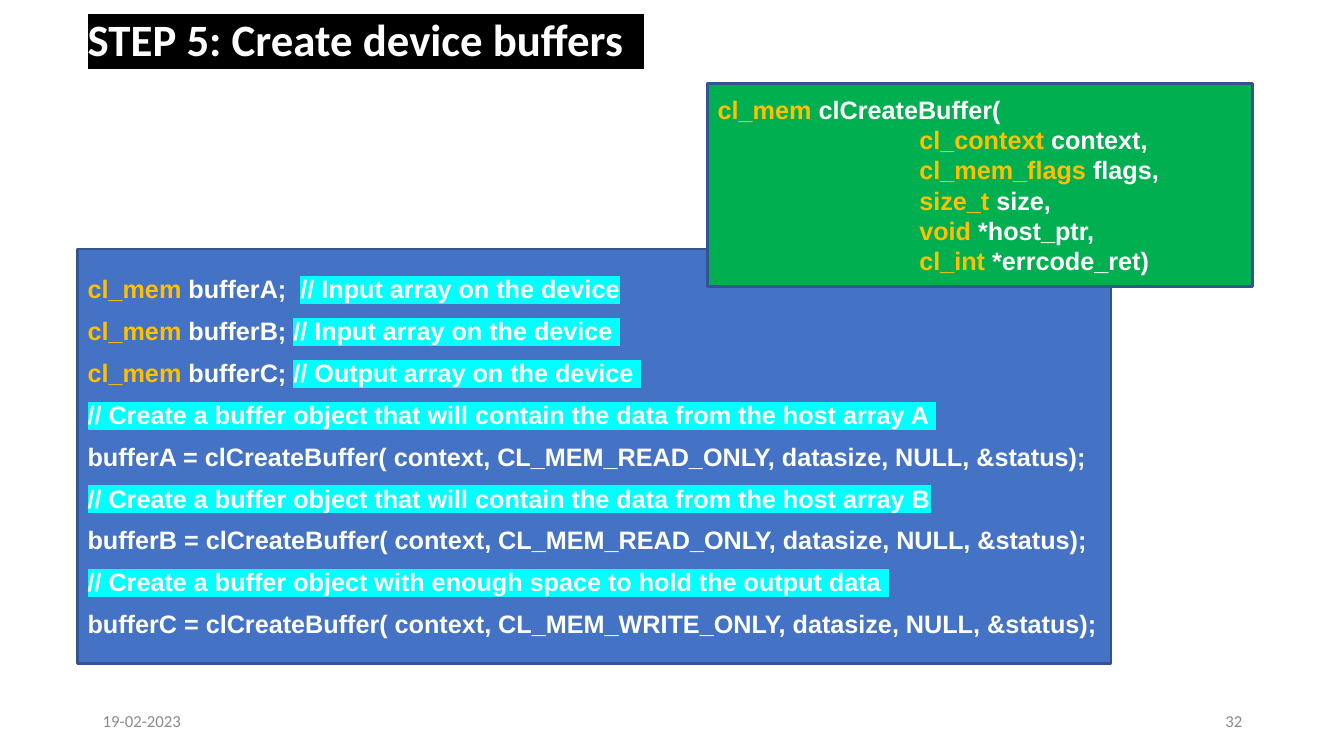
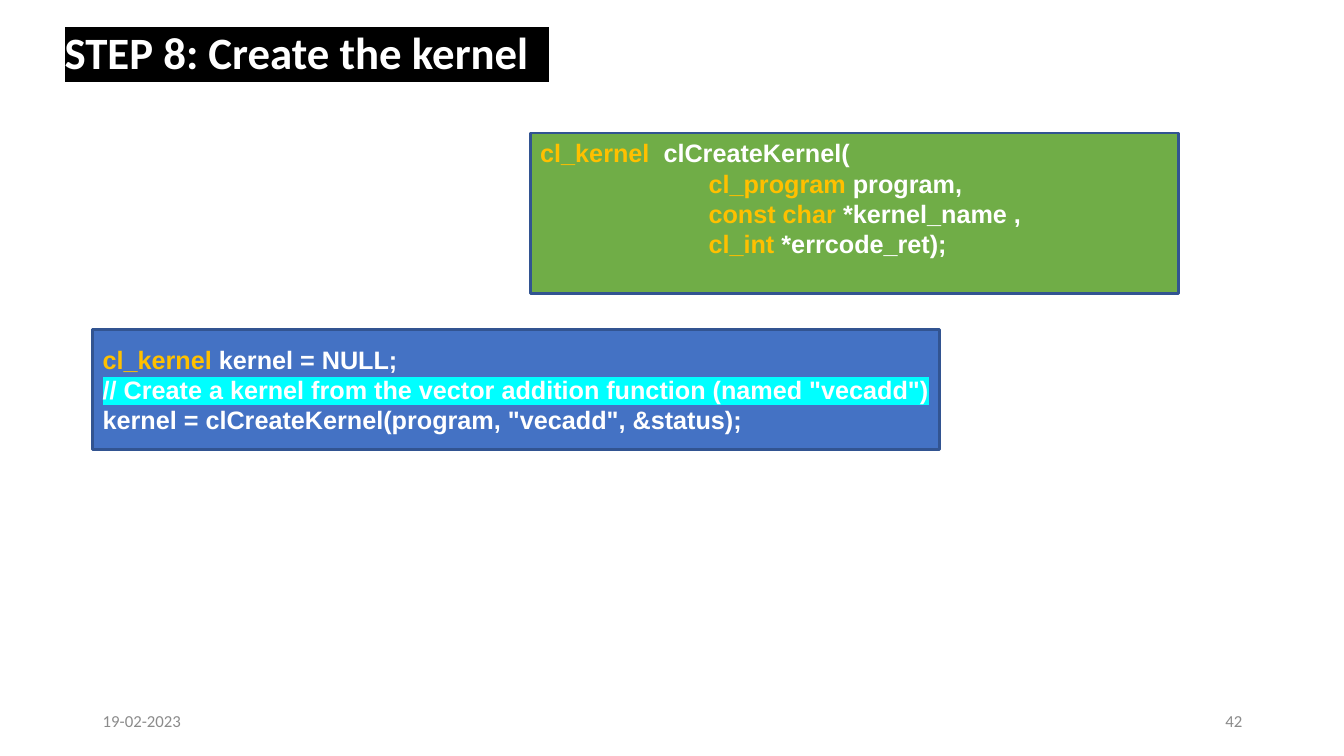
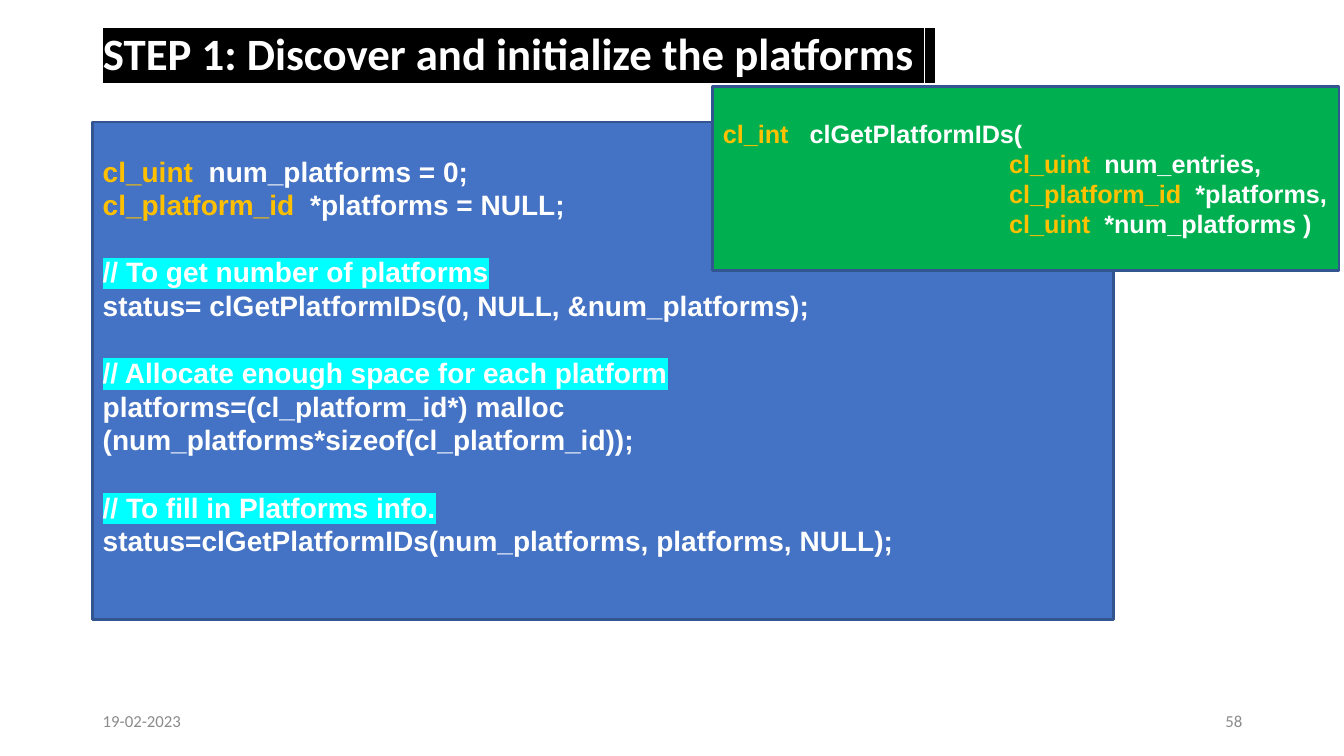
"""Builds three slides on the steps of an OpenCL host program."""
from lxml import etree
from pptx import Presentation
from pptx import util as u
from pptx.dml.color import RGBColor
from pptx.enum import shapes, text
from pptx.oxml import ns

COLORS = {
    "white": "FFFFFF", "black": "000000", "grey": "8B8B8B", "blue": "4472C4",
    "green": "00B050", "olive": "70AD47", "edge": "325491", "type": "FFC000",
    "comment": "00FFFF",
}
DATE = "19-02-2023"


def rgb(name):
    """Return the named colour."""
    return RGBColor.from_string(COLORS[name])


def add_run(p, words, size, font, color="white", bold=True, highlight=None):
    """Add one formatted run, with an optional highlight."""
    r = p.add_run()
    r.text = words
    r.font.size, r.font.name, r.font.bold = u.Pt(size), font, bold
    r.font.color.rgb = rgb(color)
    if highlight:
        mark = etree.Element(ns.qn("a:highlight"))
        etree.SubElement(mark, ns.qn("a:srgbClr")).set("val", COLORS[highlight])
        r.font.fill._xPr.find(ns.qn("a:solidFill")).addnext(mark)
    return r


def add_title(s, left, top, words):
    """Place the slide title on its black highlight."""
    sp = s.shapes.title
    sp.left, sp.top, sp.width, sp.height = map(u.Inches, (left, top, 11.5, 0.82))
    tf = sp.text_frame
    tf.auto_size = text.MSO_AUTO_SIZE.NONE
    tf.vertical_anchor = text.MSO_ANCHOR.MIDDLE
    p = tf.paragraphs[0]
    p.alignment, p.line_spacing = text.PP_ALIGN.LEFT, 0.9
    add_run(p, words, 32, "Calibri", highlight="black")
    tail = add_run(p, " ", 32, "Calibri", highlight="black")
    tail.font._element.set("spc", "1440")


def add_footer(s, number):
    """Place the date and the slide number."""
    for left, words, align in ((0.92, DATE, text.PP_ALIGN.LEFT),
                               (9.42, str(number), text.PP_ALIGN.RIGHT)):
        sp = s.shapes.add_textbox(*map(u.Inches, (left, 6.95, 3, 0.4)))
        tf = sp.text_frame
        tf.word_wrap = True
        tf.vertical_anchor = text.MSO_ANCHOR.MIDDLE
        p = tf.paragraphs[0]
        p.alignment = align
        add_run(p, words, 12, "Calibri", "grey", bold=False)


def add_panel(s, box, fill, bottom=0.05):
    """Draw a bordered panel and return its text frame."""
    sp = s.shapes.add_shape(shapes.MSO_SHAPE.RECTANGLE, *map(u.Inches, box))
    sp.shadow.inherit = False
    sp.fill.solid()
    sp.fill.fore_color.rgb = rgb(fill)
    sp.line.color.rgb = rgb("edge")
    sp.line.width = u.Pt(2)
    tf = sp.text_frame
    tf.word_wrap = True
    tf.vertical_anchor = text.MSO_ANCHOR.MIDDLE
    tf.margin_bottom = u.Inches(bottom)
    return tf


def add_line(tf, index, type_name, rest, size=18):
    """Add a line of code: a coloured type, plain code and a comment."""
    p = tf.paragraphs[0] if index == 0 else tf.add_paragraph()
    p.alignment = text.PP_ALIGN.LEFT
    code, slashes, comment = rest.partition("//")
    if type_name:
        add_run(p, type_name, size, "Arial", "type")
    if code:
        add_run(p, code, size, "Arial")
    if slashes:
        add_run(p, slashes + comment, size, "Arial", highlight="comment")
    return p


def add_code(s, box, lines, size=18, before=0, group_gap=0, bottom=0.05):
    """Place the blue listing, with a gap above each comment line."""
    tf = add_panel(s, box, "blue", bottom)
    for i, (type_name, rest) in enumerate(lines):
        p = add_line(tf, i, type_name, rest, size)
        p.space_before = u.Pt(group_gap if rest.startswith("//") else before)
        if before:
            p.space_before = u.Pt(before)


def add_signature(s, box, lines, indent, fill="green", bottom=0.05):
    """Place a function signature with its arguments indented."""
    tf = add_panel(s, box, fill, bottom)
    for i, (type_name, rest) in enumerate(lines):
        p = add_line(tf, i, type_name, rest)
        if i:
            pPr = p._p.get_or_add_pPr()
            pPr.set("marL", str(u.Inches(indent)))
            pPr.set("indent", "0")


def add_step(prs, title, number):
    """Add a slide with its title and footer."""
    s = prs.slides.add_slide(prs.slide_layouts[5])
    add_title(s, *title)
    add_footer(s, number)
    return s


def buffers_slide(prs):
    """Build the slide on device buffers."""
    s = add_step(prs, (0.77, 0.01, "STEP 5: Create device buffers "), 32)
    about = "// Create a buffer object that will contain the data from the host array "
    call = "buffer{} = clCreateBuffer( context, CL_MEM_{}_ONLY, datasize, NULL, &status);"
    add_code(s, (0.77, 2.47, 10.25, 4.11), [
        ("cl_mem ", "bufferA;  // Input array on the device"),
        ("cl_mem ", "bufferB; // Input array on the device "),
        ("cl_mem ", "bufferC; // Output array on the device "),
        ("", about + "A "),
        ("", call.format("A", "READ")),
        ("", about + "B"),
        ("", call.format("B", "READ")),
        ("", "// Create a buffer object with enough space to hold the output data "),
        ("", call.format("C", "WRITE")),
    ], before=8.3)
    add_signature(s, (7.02, 0.83, 5.4, 2.01), [
        ("cl_mem ", "clCreateBuffer("),
        ("cl_context ", "context,"),
        ("cl_mem_flags", " flags,"),
        ("size_t", " size,"),
        ("void", " *host_ptr,"),
        ("cl_int", " *errcode_ret)"),
    ], indent=2)


def kernel_slide(prs):
    """Build the slide on the kernel."""
    s = add_step(prs, (0.54, 0.14, "STEP 8: Create the kernel "), 42)
    add_code(s, (0.92, 3.27, 8.4, 1.19), [
        ("cl_kernel ", "kernel = NULL;"),
        ("", '// Create a kernel from the vector addition function (named "vecadd")'),
        ("", 'kernel = clCreateKernel(program, "vecadd", &status);'),
    ])
    add_signature(s, (5.26, 1.32, 6.43, 1.59), [
        ("cl_kernel  ", "clCreateKernel("),
        ("cl_program ", "program,"),
        ("const char ", "*kernel_name ,"),
        ("cl_int ", "*errcode_ret);"),
    ], indent=1.67, fill="olive", bottom=0.35)


def platforms_slide(prs):
    """Build the slide on platforms."""
    s = add_step(prs, (0.92, 0.15, "STEP 1: Discover and initialize the platforms "), 58)
    add_code(s, (0.92, 1.21, 10.12, 4.94), [
        ("cl_uint  ", "num_platforms = 0;"),
        ("cl_platform_id  ", "*platforms = NULL;"),
        ("", "// To get number of platforms"),
        ("", "status= clGetPlatformIDs(0, NULL, &num_platforms);"),
        ("", "// Allocate enough space for each platform"),
        ("", "platforms=(cl_platform_id*) malloc (num_platforms*sizeof(cl_platform_id));"),
        ("", "// To fill in Platforms info."),
        ("", "status=clGetPlatformIDs(num_platforms, platforms, NULL);"),
    ], size=20, group_gap=24, bottom=0.35)
    add_signature(s, (7.07, 0.86, 6.21, 1.82), [
        ("cl_int   ", "clGetPlatformIDs("),
        ("cl_uint  ", "num_entries,"),
        ("cl_platform_id", "  *platforms,"),
        ("cl_uint", "  *num_platforms )"),
    ], indent=2.84)


def main():
    """Build and save the slides."""
    prs = Presentation()
    prs.slide_width, prs.slide_height = u.Inches(13.33), u.Inches(7.5)
    for build in (buffers_slide, kernel_slide, platforms_slide):
        build(prs)
    prs.save("out.pptx")


if __name__ == "__main__":
    main()
